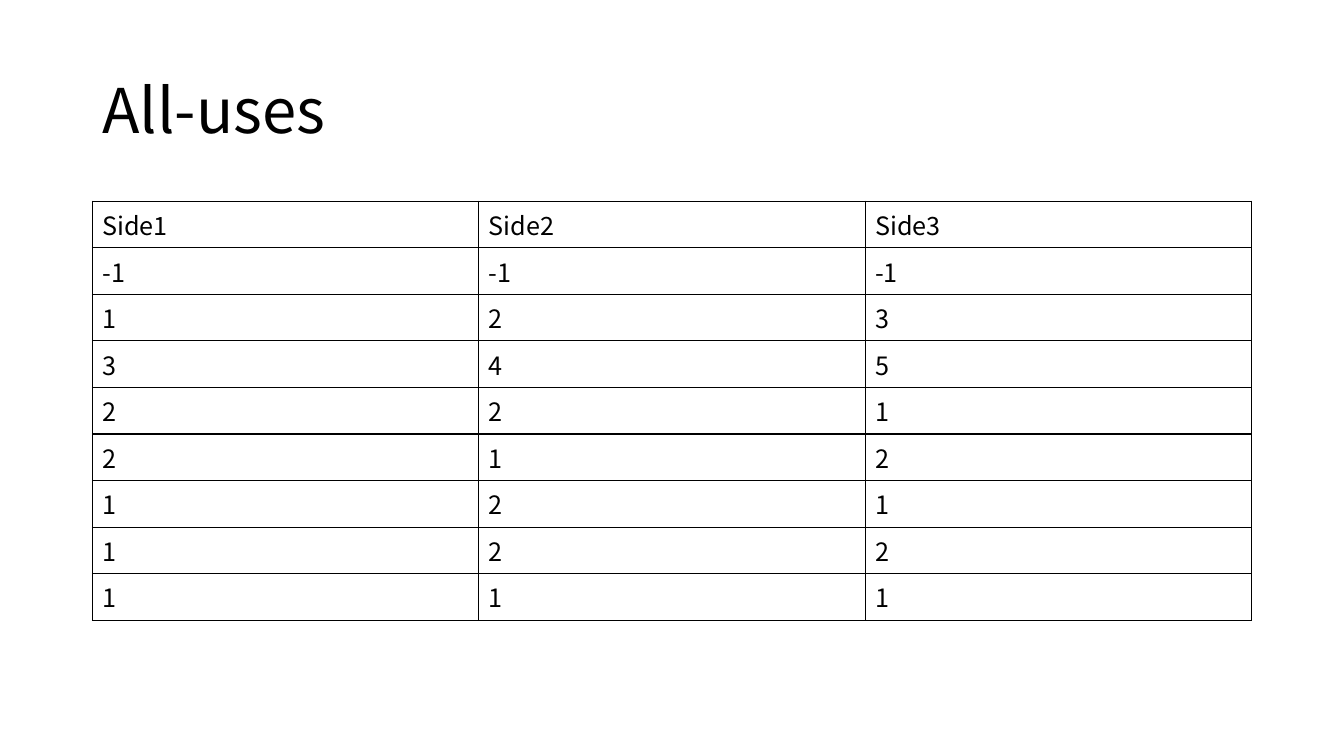
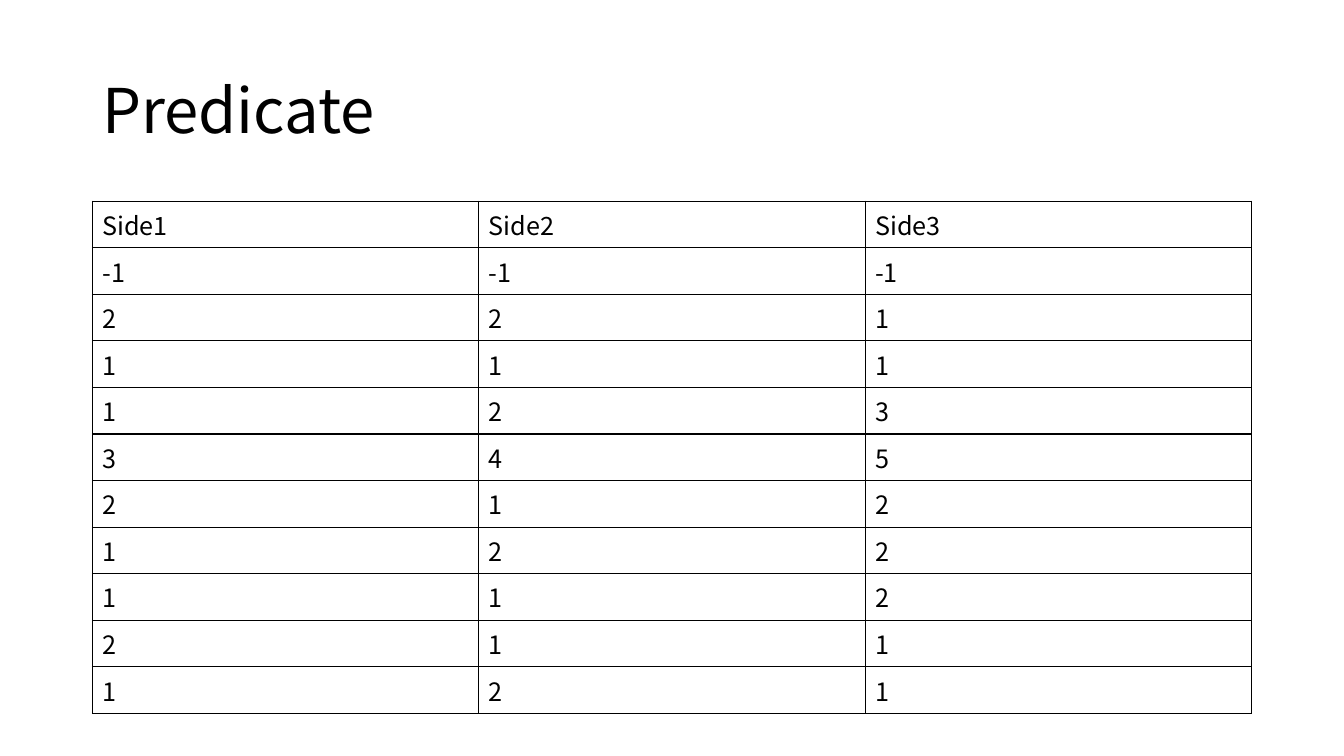
"""Build two slides that list test inputs for the sides of a triangle."""

import dataclasses

import lxml.etree
import pptx
import pptx.dml.color
import pptx.enum.text
import pptx.oxml.ns
import pptx.slide
import pptx.table
import pptx.text.text
import pptx.util

Pt = pptx.util.Pt

BLACK = pptx.dml.color.RGBColor(0, 0, 0)
WHITE = pptx.dml.color.RGBColor(255, 255, 255)
FONT = "Noto Sans CJK SC"
LEFT, WIDTH = 66, 828
TITLE_TOP, TITLE_HEIGHT = 28.75, 104.4
TABLE_TOP, ROW_HEIGHT = 143.75, 33.27
TITLE_SIZE, CELL_SIZE = 44, 18
HEADS = ("Side1", "Side2", "Side3")


@dataclasses.dataclass(frozen=True)
class Page:
    title: str
    cases: tuple[tuple[int, int, int], ...]


PAGES = (
    Page("All-uses", (
        (-1, -1, -1), (1, 2, 3), (3, 4, 5), (2, 2, 1),
        (2, 1, 2), (1, 2, 1), (1, 2, 2), (1, 1, 1),
    )),
    Page("Predicate", (
        (-1, -1, -1), (2, 2, 1), (1, 1, 1), (1, 2, 3), (3, 4, 5),
        (2, 1, 2), (1, 2, 2), (1, 1, 2), (2, 1, 1), (1, 2, 1),
    )),
)


def write(frame: pptx.text.text.TextFrame, text: str, size: float) -> None:
    frame.text = text
    font = frame.paragraphs[0].runs[0].font
    font.name = FONT
    font.size = Pt(size)
    font.color.rgb = BLACK


def add_title(slide: pptx.slide.Slide, text: str) -> None:
    box = slide.shapes.add_textbox(
        Pt(LEFT), Pt(TITLE_TOP), Pt(WIDTH), Pt(TITLE_HEIGHT))
    frame = box.text_frame
    frame.word_wrap = True
    frame.vertical_anchor = pptx.enum.text.MSO_ANCHOR.MIDDLE
    write(frame, text, TITLE_SIZE)
    frame.paragraphs[0].line_spacing = 0.9


def add_frame(cell: pptx.table._Cell) -> None:
    qn = pptx.oxml.ns.qn
    props = cell._tc.get_or_add_tcPr()
    for place, side in enumerate(("a:lnL", "a:lnR", "a:lnT", "a:lnB")):
        line = lxml.etree.Element(qn(side), w=str(Pt(1)))
        fill = lxml.etree.SubElement(line, qn("a:solidFill"))
        lxml.etree.SubElement(fill, qn("a:srgbClr"), val=str(BLACK))
        props.insert(place, line)


def add_grid(slide: pptx.slide.Slide, page: Page) -> None:
    rows = (HEADS, *page.cases)
    table = slide.shapes.add_table(
        len(rows), len(HEADS), Pt(LEFT), Pt(TABLE_TOP),
        Pt(WIDTH), Pt(ROW_HEIGHT * len(rows))).table
    table.first_row = False
    table.horz_banding = False
    for row, values in enumerate(rows):
        for col, value in enumerate(values):
            cell = table.cell(row, col)
            cell.fill.background()
            write(cell.text_frame, str(value), CELL_SIZE)
            add_frame(cell)


def main() -> None:
    deck = pptx.Presentation()
    deck.slide_width, deck.slide_height = Pt(960), Pt(540)
    back = deck.slide_master.background.fill
    back.solid()
    back.fore_color.rgb = WHITE
    blank = deck.slide_layouts[6]
    for page in PAGES:
        slide = deck.slides.add_slide(blank)
        add_title(slide, page.title)
        add_grid(slide, page)
    deck.save("out.pptx")


if __name__ == "__main__":
    main()
